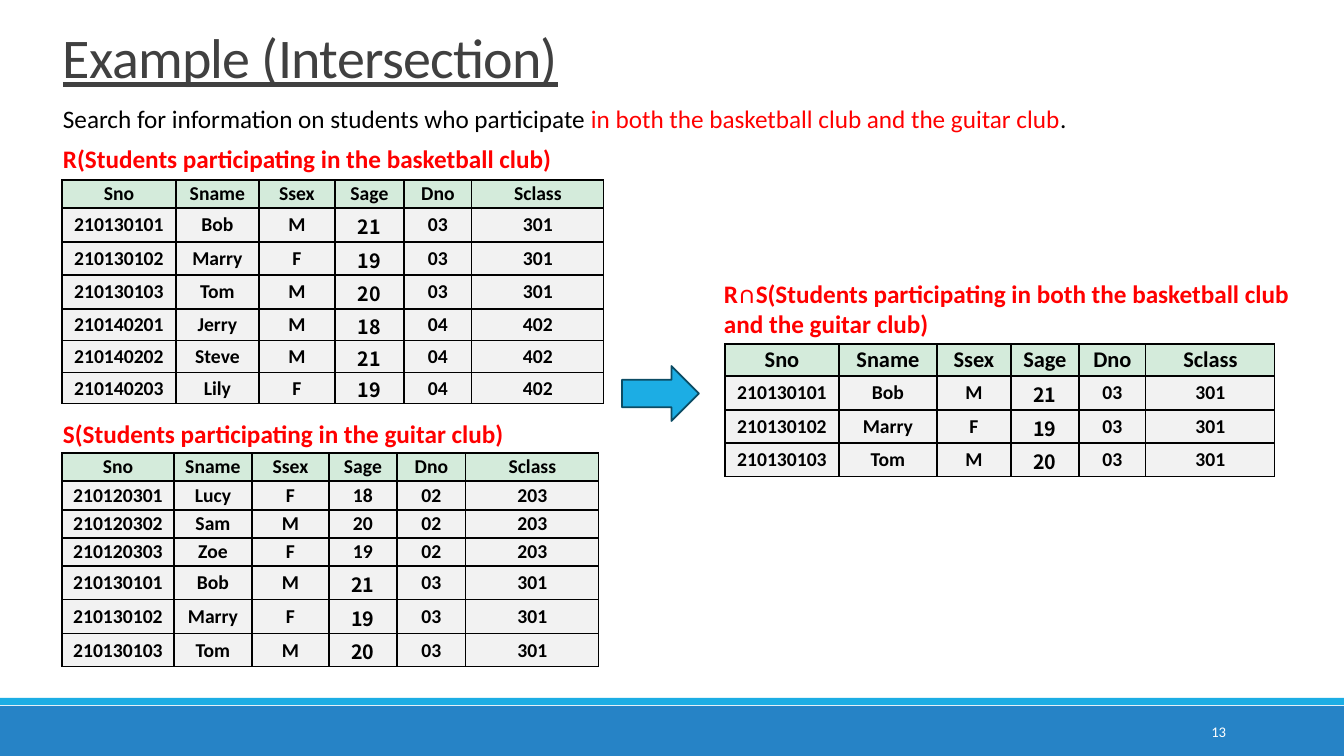
from dataclasses import astuple, dataclass

from lxml import etree
from pptx import Presentation
from pptx.dml.color import RGBColor
from pptx.enum.shapes import MSO_SHAPE
from pptx.enum.text import MSO_ANCHOR, PP_ALIGN
from pptx.oxml.ns import qn
from pptx.slide import Slide
from pptx.text.text import TextFrame
from pptx.util import Emu, Pt

RECTANGLE, RIGHT_ARROW = MSO_SHAPE.RECTANGLE, MSO_SHAPE.RIGHT_ARROW
LEFT, CENTER, RIGHT = PP_ALIGN.LEFT, PP_ALIGN.CENTER, PP_ALIGN.RIGHT
TOP, MIDDLE = MSO_ANCHOR.TOP, MSO_ANCHOR.MIDDLE
SLIDE_WIDTH, SLIDE_HEIGHT = 1344, 756
EMU_PER_PX = 12192000 / SLIDE_WIDTH


@dataclass(frozen=True)
class Theme:
    font: str = "Calibri"
    age_font: str = "Noto Sans CJK SC"
    black: str = "000000"
    white: str = "FFFFFF"
    red: str = "FF0000"
    title: str = "404040"
    header: str = "D4EBDB"
    body: str = "F2F2F2"
    accent: str = "1CADE4"
    arrow_line: str = "0C4C64"
    footer: str = "2683C6"
    title_size: float = 40
    text_size: float = 18
    large_header_size: float = 16
    cell_size: float = 14
    number_size: float = 10.5


THEME = Theme()


@dataclass(frozen=True)
class Box:
    left: int
    top: int
    width: int
    height: int

    def emu(self) -> list[Emu]:
        return [px(length) for length in astuple(self)]


@dataclass(frozen=True)
class Student:
    sno: str
    sname: str
    ssex: str
    sage: str
    dno: str
    sclass: str


@dataclass(frozen=True)
class Relation:
    caption: str
    caption_box: Box
    left: int
    top: int
    columns: list[int]
    rows: list[int]
    students: list[Student]
    header_size: float = THEME.cell_size


HEADINGS = ["Sno", "Sname", "Ssex", "Sage", "Dno", "Sclass"]
AGE_COLUMN = HEADINGS.index("Sage")
PLAIN_AGE_DNO = "02"

BASKETBALL = [
    Student("210130101", "Bob", "M", "21", "03", "301"),
    Student("210130102", "Marry", "F", "19", "03", "301"),
    Student("210130103", "Tom", "M", "20", "03", "301"),
    Student("210140201", "Jerry", "M", "18", "04", "402"),
    Student("210140202", "Steve", "M", "21", "04", "402"),
    Student("210140203", "Lily", "F", "19", "04", "402"),
]
IN_BOTH = BASKETBALL[:3]
GUITAR = [
    Student("210120301", "Lucy", "F", "18", "02", "203"),
    Student("210120302", "Sam", "M", "20", "02", "203"),
    Student("210120303", "Zoe", "F", "19", "02", "203"),
    *IN_BOTH,
]

RELATIONS = [
    Relation("R(Students participating in the basketball club)", Box(53, 138, 672, 40),
             62, 180, [114, 83, 76, 69, 68, 132], [28, 34, 33, 34, 32, 32, 31], BASKETBALL),
    Relation("S(Students participating in the guitar club)", Box(53, 413, 672, 40),
             62, 453, [112, 78, 77, 68, 69, 133], [28, 29, 28, 28, 34, 34, 33], GUITAR),
    Relation("R∩S(Students participating in both the basketball club and the guitar club)",
             Box(714, 273, 605, 71),
             725, 344, [114, 98, 74, 68, 67, 129], [32, 34, 33, 34], IN_BOTH,
             THEME.large_header_size),
]


def px(length: int) -> Emu:
    return Emu(round(length * EMU_PER_PX))


def rgb(color: str) -> RGBColor:
    return RGBColor.from_string(color)


def write(frame: TextFrame, *parts: tuple[str, str], size: float, font: str = THEME.font,
          bold: bool = False, underline: bool = False, align: PP_ALIGN = LEFT,
          line_spacing: float = 1.0, tracking: int = 0) -> None:
    """Fill the first paragraph with (text, colour) parts; tracking is in 1/100 pt."""
    paragraph = frame.paragraphs[0]
    paragraph.alignment = align
    paragraph.line_spacing = line_spacing
    for text, color in parts:
        run = paragraph.add_run()
        run.text = text
        run.font.name = font
        run.font.size = Pt(size)
        run.font.bold = bold
        run.font.underline = underline
        run.font.color.rgb = rgb(color)
        if tracking:
            run.font._element.set("spc", str(tracking))


def add_text_frame(slide: Slide, box: Box, anchor: MSO_ANCHOR = TOP) -> TextFrame:
    frame = slide.shapes.add_textbox(*box.emu()).text_frame
    frame.word_wrap = True
    frame.vertical_anchor = anchor
    return frame


def add_solid(slide: Slide, kind: MSO_SHAPE, box: Box, fill: str, outline: str = "") -> None:
    solid = slide.shapes.add_shape(kind, *box.emu())
    solid.shadow.inherit = False
    solid.fill.solid()
    solid.fill.fore_color.rgb = rgb(fill)
    if outline:
        solid.line.color.rgb = rgb(outline)
        solid.line.width = Pt(1.25)
    else:
        solid.line.fill.background()


def add_relation(slide: Slide, relation: Relation) -> None:
    write(add_text_frame(slide, relation.caption_box), (relation.caption, THEME.red),
          size=THEME.text_size, bold=True)
    box = Box(relation.left, relation.top, sum(relation.columns), sum(relation.rows))
    table = slide.shapes.add_table(len(relation.rows), len(HEADINGS), *box.emu()).table
    for column, width in zip(table.columns, relation.columns):
        column.width = px(width)
    for row, height in zip(table.rows, relation.rows):
        row.height = px(height)

    records = [HEADINGS, *map(astuple, relation.students)]
    for row_index, record in enumerate(records):
        is_header = row_index == 0
        for column_index, value in enumerate(record):
            wide_age = (column_index == AGE_COLUMN and not is_header
                        and relation.students[row_index - 1].dno != PLAIN_AGE_DNO)
            cell = table.cell(row_index, column_index)
            properties = cell._tc.get_or_add_tcPr()
            for side in ("a:lnL", "a:lnR", "a:lnT", "a:lnB"):
                border = etree.SubElement(properties, qn(side), w=str(Pt(1)))
                paint = etree.SubElement(border, qn("a:solidFill"))
                etree.SubElement(paint, qn("a:srgbClr"), val=THEME.black)
            cell.fill.solid()
            cell.fill.fore_color.rgb = rgb(THEME.header if is_header else THEME.body)
            cell.vertical_anchor = MIDDLE
            cell.margin_left = cell.margin_right = px(5)
            cell.margin_top = px(2)
            cell.margin_bottom = px(0 if wide_age else 2)
            write(cell.text_frame, (value, THEME.black), bold=True, align=CENTER,
                  size=relation.header_size if is_header else THEME.cell_size,
                  font=THEME.age_font if wide_age else THEME.font)


def main() -> None:
    presentation = Presentation()
    presentation.slide_width = px(SLIDE_WIDTH)
    presentation.slide_height = px(SLIDE_HEIGHT)
    slide = presentation.slides.add_slide(presentation.slide_layouts[6])

    add_solid(slide, RECTANGLE, Box(0, 706, SLIDE_WIDTH, 50), THEME.footer)
    add_solid(slide, RECTANGLE, Box(0, 698, SLIDE_WIDTH, 7), THEME.accent)
    write(add_text_frame(slide, Box(1092, 712, 144, 40), MIDDLE), ("13", THEME.white),
          size=THEME.number_size, align=RIGHT)
    write(add_text_frame(slide, Box(53, 28, 703, 83)), ("Example (Intersection)", THEME.title),
          size=THEME.title_size, underline=True, line_spacing=0.85, tracking=-50)
    write(add_text_frame(slide, Box(53, 98, 1091, 40)),
          ("Search for information on students who participate ", THEME.black),
          ("in both the basketball club and the guitar club", THEME.red),
          (".", THEME.black), size=THEME.text_size)
    for relation in RELATIONS:
        add_relation(slide, relation)
    add_solid(slide, RIGHT_ARROW, Box(622, 366, 77, 55), THEME.accent, THEME.arrow_line)
    presentation.save("out.pptx")


if __name__ == "__main__":
    main()
